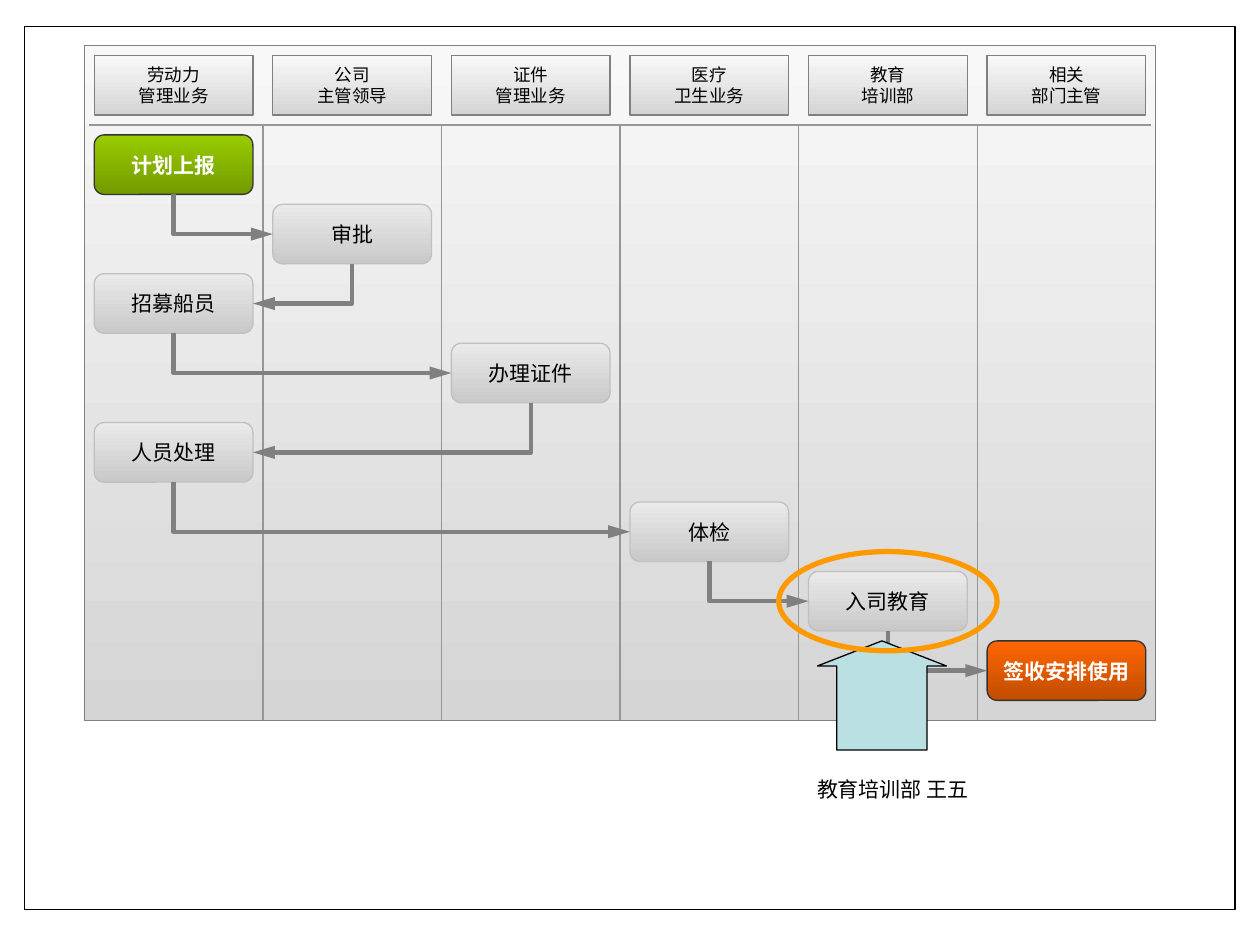
from dataclasses import dataclass

import lxml.etree
import pptx
import pptx.dml.color
import pptx.enum.shapes
import pptx.enum.text
import pptx.oxml.ns
import pptx.shapes.autoshape
import pptx.shapes.connector
import pptx.slide
import pptx.util
from pptx.util import Cm

SHAPES = pptx.enum.shapes.MSO_SHAPE
CONNECTORS = pptx.enum.shapes.MSO_CONNECTOR
LANE_LEFT, LANE_WIDTH = 1.7, 3.6
LANES_TOP, LANES_HEIGHT = 0.92, 13.6
HEADER_LINE = 2.52
BOX_INSET, BOX_WIDTH, BOX_HEIGHT = 0.2, 3.2, 1.2
BOTTOM_SITE, LEFT_SITE, RIGHT_SITE = 2, 1, 3
PANEL_FILL = ("F8F8F8", "D5D5D5")


@dataclass(frozen=True)
class Area:
    left: float
    top: float
    width: float
    height: float


@dataclass(frozen=True)
class Style:
    fill: tuple[str, ...]
    line: str
    text: str = "000000"
    bold: bool = False
    size: float = 12
    weight: float = 0.75


@dataclass(frozen=True)
class Step:
    text: str
    lane: int
    top: float
    style: Style


PAGE_FRAME = Style(("FFFFFF",), "000000")
PANEL = Style(PANEL_FILL, "808080", size=10)
START = Style(("99CC00", "739A00"), "333333", "FFFFFF", True)
NORMAL = Style(("EAEAEA", "C9C9C9"), "C0C0C0")
FINISH = Style(("FF6600", "C14D00"), "333333", "FFFFFF", True)
POINTER = Style(("BBE0E3",), "000000")
HIGHLIGHT = Style((), "FF9900", weight=3)

HEADERS = [
    "劳动力\v管理业务", "公司\v主管领导", "证件\n管理业务",
    "医疗\v卫生业务", "教育\v培训部", "相关\v部门主管",
]
STEPS = [
    Step("计划上报", 0, 2.72, START),
    Step("审批", 1, 4.12, NORMAL),
    Step("招募船员", 0, 5.52, NORMAL),
    Step("办理证件", 2, 6.92, NORMAL),
    Step("人员处理", 0, 8.52, NORMAL),
    Step("体检", 3, 10.12, NORMAL),
    Step("入司教育", 4, 11.52, NORMAL),
    Step("签收安排使用", 5, 12.92, FINISH),
]


def color(value: str) -> pptx.dml.color.RGBColor:
    return pptx.dml.color.RGBColor.from_string(value)


def lane_x(lane: int) -> float:
    return LANE_LEFT + lane * LANE_WIDTH


def box_area(lane: int, top: float) -> Area:
    return Area(lane_x(lane) + BOX_INSET, top, BOX_WIDTH, BOX_HEIGHT)


def draw_shape(
    page: pptx.slide.Slide, kind: SHAPES, area: Area, style: Style, text: str = ""
) -> pptx.shapes.autoshape.Shape:
    shape = page.shapes.add_shape(
        kind, Cm(area.left), Cm(area.top), Cm(area.width), Cm(area.height)
    )
    shape.shadow.inherit = False
    if len(style.fill) == 2:
        shape.fill.gradient()
        shape.fill.gradient_angle = 270
        for stop, value, position in zip(shape.fill.gradient_stops, style.fill, (0, 1)):
            stop.color.rgb = color(value)
            stop.position = position
    elif style.fill:
        shape.fill.solid()
        shape.fill.fore_color.rgb = color(style.fill[0])
    else:
        shape.fill.background()
    shape.line.color.rgb = color(style.line)
    shape.line.width = pptx.util.Pt(style.weight)
    if text:
        write(shape, text, style, "Arial")
    return shape


def write(box: pptx.shapes.autoshape.Shape, text: str, style: Style, font: str) -> None:
    frame = box.text_frame
    frame.text = text
    frame.word_wrap = False
    frame.vertical_anchor = pptx.enum.text.MSO_ANCHOR.MIDDLE
    for para in frame.paragraphs:
        para.alignment = pptx.enum.text.PP_ALIGN.CENTER
        para.font.name = font
        para.font.size = pptx.util.Pt(style.size)
        para.font.bold = style.bold
        para.font.color.rgb = color(style.text)


def draw_line(
    page: pptx.slide.Slide, kind: CONNECTORS, start: tuple[float, float],
    end: tuple[float, float], value: str, weight: float,
) -> pptx.shapes.connector.Connector:
    line = page.shapes.add_connector(kind, *map(Cm, (*start, *end)))
    line.line.color.rgb = color(value)
    line.line.width = pptx.util.Pt(weight)
    lxml.etree.SubElement(line._element.spPr, pptx.oxml.ns.qn("a:effectLst"))
    return line


def draw_flow(
    page: pptx.slide.Slide,
    source: pptx.shapes.autoshape.Shape,
    target: pptx.shapes.autoshape.Shape,
) -> None:
    forward = target.left > source.left
    start_x, start_y = source.left + source.width // 2, source.top + source.height
    end_x = target.left if forward else target.left + target.width
    end_y = target.top + target.height // 2
    across, down = abs(end_x - start_x), end_y - start_y

    flow = draw_line(page, CONNECTORS.ELBOW, (0, 0), (1, 1), "808080", 2.5)
    flow.begin_connect(source, BOTTOM_SITE)
    flow.end_connect(target, LEFT_SITE if forward else RIGHT_SITE)
    flow.left = (start_x + end_x - down) // 2
    flow.top = (start_y + end_y - across) // 2
    flow.width, flow.height = down, across
    properties = flow._element.spPr
    properties.xfrm.rot = 270 if forward else 90
    properties.xfrm.flipH = forward
    properties.xfrm.flipV = False
    properties.find(pptx.oxml.ns.qn("a:prstGeom")).set("prst", "bentConnector2")
    head = lxml.etree.SubElement(
        flow.line._get_or_add_ln(), pptx.oxml.ns.qn("a:tailEnd")
    )
    head.set("type", "triangle")
    head.set("w", "med")
    head.set("len", "lg")


def draw_lanes(page: pptx.slide.Slide) -> None:
    width = LANE_WIDTH * len(HEADERS)
    bottom = LANES_TOP + LANES_HEIGHT
    draw_shape(page, SHAPES.RECTANGLE, Area(LANE_LEFT, LANES_TOP, width, LANES_HEIGHT), PANEL)
    for lane, text in enumerate(HEADERS):
        draw_shape(page, SHAPES.RECTANGLE, box_area(lane, LANES_TOP + BOX_INSET), PANEL, text)
    dividers = [((LANE_LEFT + 0.1, HEADER_LINE), (LANE_LEFT + width - 0.1, HEADER_LINE))]
    for lane in range(1, len(HEADERS)):
        dividers.append(((lane_x(lane), HEADER_LINE), (lane_x(lane), bottom)))
    for start, end in dividers:
        draw_line(page, CONNECTORS.STRAIGHT, start, end, "969696", 0.75)


def main() -> None:
    deck = pptx.Presentation()
    deck.slide_width, deck.slide_height = Cm(25.4), Cm(19.05)
    page = deck.slides.add_slide(deck.slide_layouts[6])
    draw_shape(page, SHAPES.RECTANGLE, Area(0.5, 0.53, 24.4, 17.8), PAGE_FRAME)
    label = page.shapes.add_textbox(Cm(15.7), Cm(15.52), Cm(4.6), Cm(0.76))
    write(label, "教育培训部 王五", NORMAL, "Noto Sans CJK SC")
    draw_lanes(page)
    boxes = [
        draw_shape(page, SHAPES.ROUNDED_RECTANGLE, box_area(step.lane, step.top), step.style, step.text)
        for step in STEPS
    ]
    for source, target in zip(boxes, boxes[1:]):
        draw_flow(page, source, target)
    pointer = draw_shape(page, SHAPES.UP_ARROW, Area(16.48, 12.92, 2.6, 2.2), POINTER)
    pointer.adjustments[0] = 0.7
    pointer.adjustments[1] = 0.23
    draw_shape(page, SHAPES.OVAL, Area(15.7, 11.12, 4.4, 2), HIGHLIGHT)
    deck.save("out.pptx")


if __name__ == "__main__":
    main()
